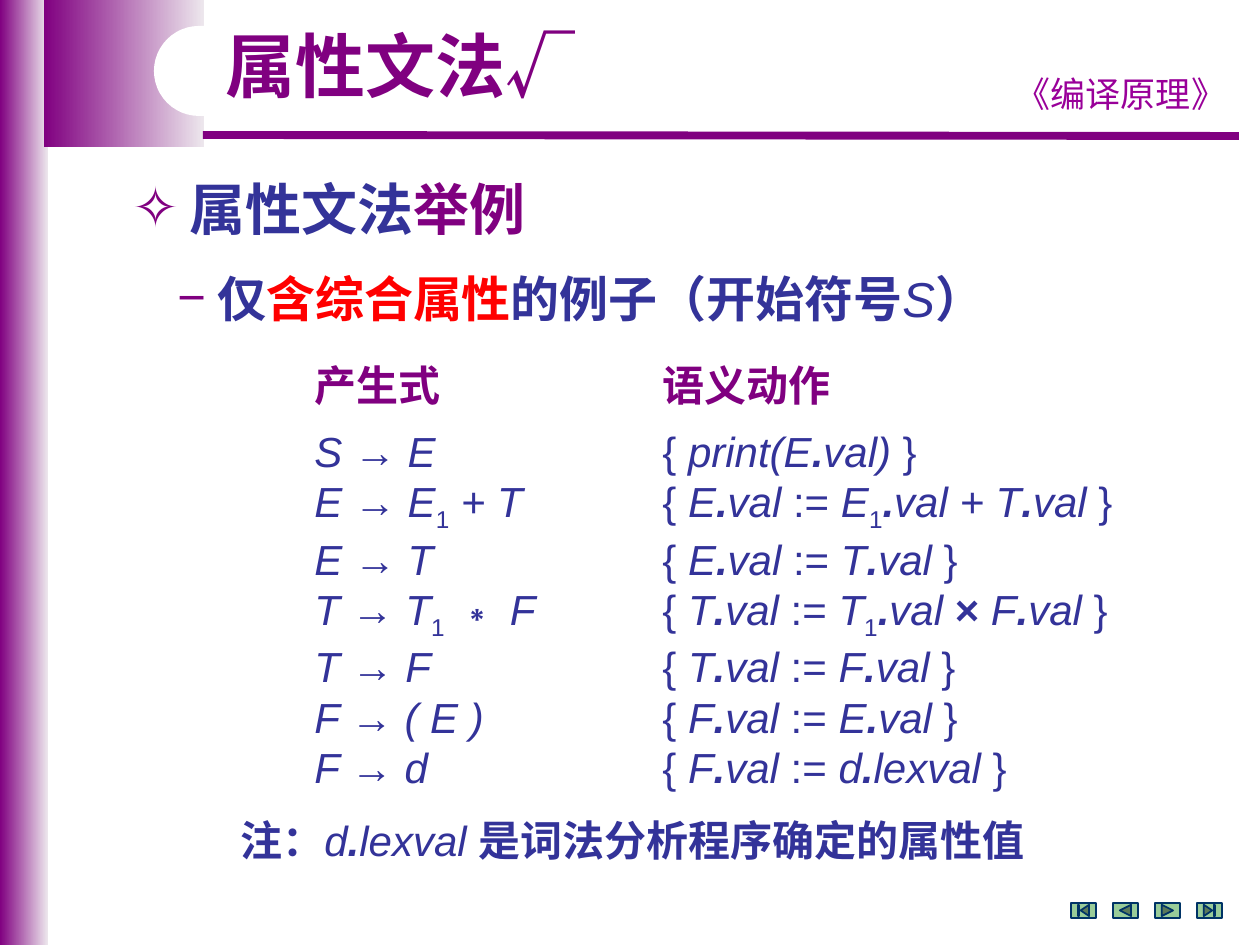
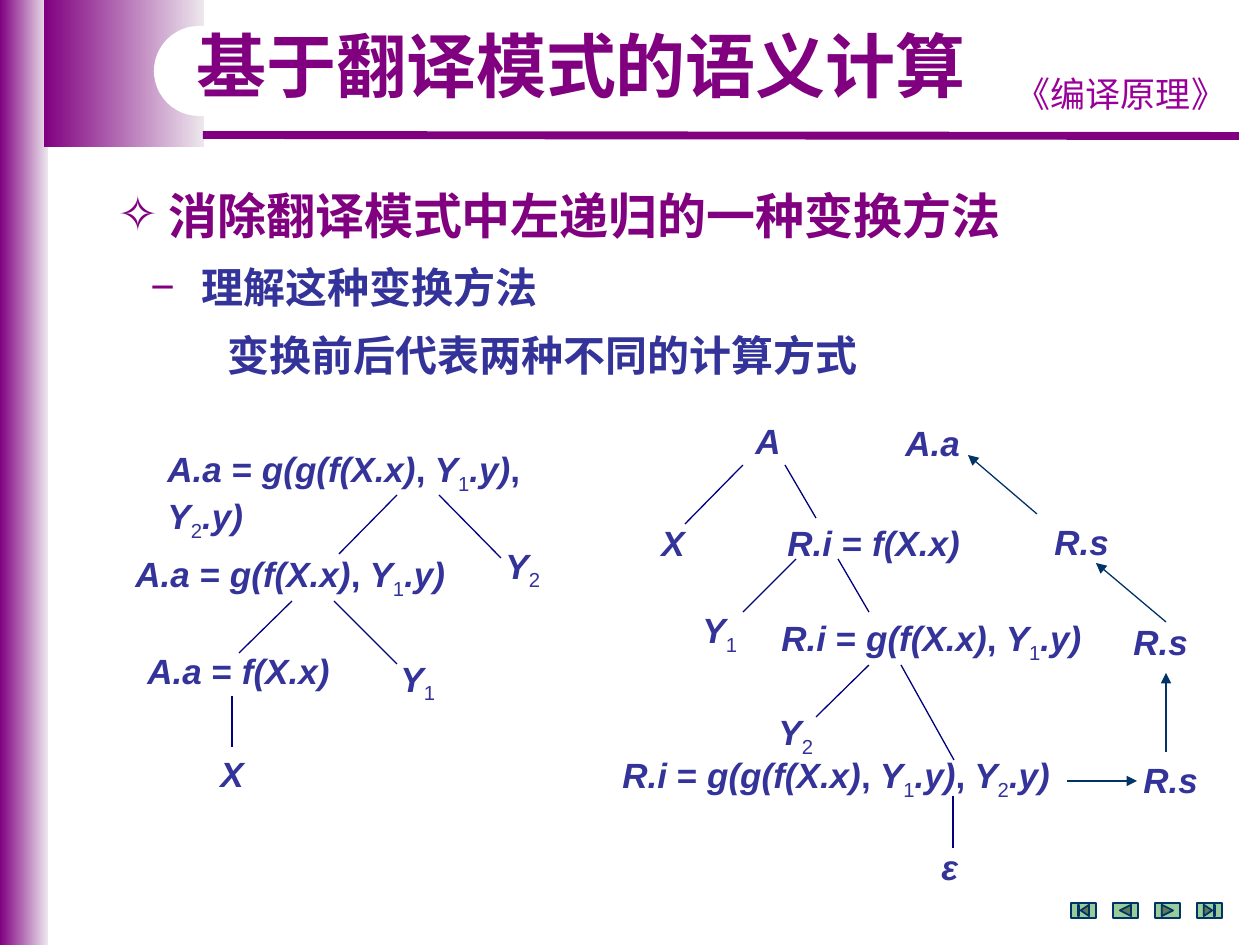
from dataclasses import dataclass
from itertools import groupby

from lxml.etree import SubElement
from pptx import Presentation
from pptx.dml.color import RGBColor
from pptx.enum.shapes import MSO_CONNECTOR, MSO_SHAPE as SHAPE
from pptx.enum.text import PP_ALIGN as ALIGN
from pptx.oxml.ns import qn
from pptx.util import Emu, Pt


@dataclass(frozen=True)
class Theme:
    """Colours, fonts and type sizes that the slides share."""
    purple: str = "800080"
    pale: str = "EDE7ED"
    magenta: str = "990099"
    blue: str = "333399"
    navy: str = "000080"
    teal: str = "003366"
    green: str = "99CC99"
    red: str = "FF0000"
    white: str = "FFFFFF"
    latin: str = "Arial"
    hanzi: str = "Noto Sans CJK SC"
    course: str = "Comic Neue"
    title: int = 40
    heading: int = 32
    subheading: int = 28
    body: int = 24
    label: int = 20


THEME = Theme()
NAV_BUTTONS = (SHAPE.ACTION_BUTTON_BEGINNING, SHAPE.ACTION_BUTTON_BACK_OR_PREVIOUS,
               SHAPE.ACTION_BUTTON_FORWARD_OR_NEXT, SHAPE.ACTION_BUTTON_END)
UPRIGHT = {"italic": False}
PRODUCTIONS = (
    ("S → E", "{ print(E.val) }"),
    ("E → E1 + T", "{ E.val := E1.val + T.val }"),
    ("E → T", "{ E.val := T.val }"),
    ("T → T1 ∗ F", "{ T.val := T1.val × F.val }"),
    ("T → F", "{ T.val := F.val }"),
    ("F → ( E )", "{ F.val := E.val }"),
    ("F → d", "{ F.val := d.lexval }"),
)


def px(length):
    """Turn px into EMU."""
    return Emu(round(length * 914400 / 126))


def rgb(colour):
    """Turn a hex string into a colour."""
    return RGBColor.from_string(colour)


def symbol_style(symbol):
    """Give the font changes that a symbol needs within an italic formula."""
    if symbol.isdigit():
        return {"bold": False, "italic": False, "baseline": -25000}
    if symbol == "×":
        return {"bold": True, "italic": False}
    if symbol == ".":
        return {"bold": True}
    return UPRIGHT if symbol in "→∗:={}," else {}


def formula(text):
    """Split a formula into spans of equal style."""
    return [("".join(symbols), style) for style, symbols in groupby(text, symbol_style)]


def add_text_box(page, left, top, width, height=54):
    """Add a wrapping text box and return its frame."""
    frame = page.shapes.add_textbox(px(left), px(top), px(width), px(height)).text_frame
    frame.word_wrap = True
    return frame


def set_bullet(para, symbol, margin, hang):
    """Indent a paragraph and give it a bullet if there is one."""
    props = para._p.get_or_add_pPr()
    props.set("marL", str(px(margin)))
    props.set("indent", str(-px(hang)))
    if symbol:
        SubElement(SubElement(props, qn("a:buClr")), qn("a:srgbClr"), val=THEME.purple)
        SubElement(props, qn("a:buFont"), typeface=THEME.latin)
        SubElement(props, qn("a:buChar"), char=symbol)


def write(frame, spans, size, colour=THEME.blue, name=THEME.latin, bold=True, italic=False,
          bullet=None, before=0):
    """Write spans as the next paragraph of a frame."""
    first = not frame.paragraphs[0].runs
    para = frame.paragraphs[0] if first else frame.add_paragraph()
    if before:
        para.space_before = Pt(before)
    if bullet:
        set_bullet(para, *bullet)
    font = para.font
    font.size, font.name, font.bold, font.italic = Pt(size), name, bold, italic
    font.color.rgb = rgb(colour)
    SubElement(para._p.pPr.find(qn("a:defRPr")), qn("a:ea"), typeface=THEME.hanzi)
    for text, style in [(spans, {})] if isinstance(spans, str) else spans:
        span = para.add_run()
        span.text = text
        for key, value in style.items():
            if key == "baseline":
                span._r.get_or_add_rPr().set(key, str(value))
            elif key == "colour":
                span.font.color.rgb = rgb(value)
            else:
                setattr(span.font, key, value)
    return para


def add_block(page, preset, left, top, width, height, fill, line=None):
    """Add a preset shape with a plain fill, or a gradient for a pair of colours."""
    shape = page.shapes.add_shape(preset, px(left), px(top), px(width), px(height))
    shape.shadow.inherit = False
    if isinstance(fill, tuple):
        shape.fill.gradient()
        shape.fill.gradient_angle = 0
        for stop, colour in zip(shape.fill.gradient_stops, fill):
            stop.color.rgb = rgb(colour)
    else:
        shape.fill.solid()
        shape.fill.fore_color.rgb = rgb(fill)
    if line:
        shape.line.color.rgb = rgb(line)
        shape.line.width = Pt(1)
    else:
        shape.line.fill.background()
    return shape


def add_line(page, start, end, colour, width=0.75, arrow=False):
    """Draw a straight line, with an arrowhead at its end if asked."""
    line = page.shapes.add_connector(MSO_CONNECTOR.STRAIGHT, *map(px, start + end))
    line.line.color.rgb = rgb(colour)
    line.line.width = Pt(width)
    if arrow:
        SubElement(line.line._get_or_add_ln(), qn("a:tailEnd"), type="triangle")
    SubElement(line._element.spPr, qn("a:effectLst"))


def add_frame(deck):
    """Add a page with the bands, rule, course name and navigation buttons."""
    page = deck.slides.add_slide(deck.slide_layouts[6])
    fade = (THEME.purple, THEME.pale)
    add_block(page, SHAPE.RECTANGLE, 0, 0, 48, 945, fade)
    add_block(page, SHAPE.RECTANGLE, 44, 0, 160, 147, fade)
    add_line(page, (203, 135), (1239, 136), THEME.purple, 4.5)
    course = write(add_text_box(page, 997, 66, 248), "《编译原理》", THEME.label,
                   THEME.magenta, THEME.course, bold=False)
    course.alignment = ALIGN.CENTER
    add_block(page, SHAPE.ROUNDED_RECTANGLE, 154, 26, 456, 90, THEME.white).adjustments[0] = 0.5
    for index, preset in enumerate(NAV_BUTTONS):
        add_block(page, preset, 1071 + 42 * index, 903, 25, 15, THEME.green, THEME.teal)
    return page


def add_title(page, spans, left, width):
    """Write the slide title."""
    para = write(add_text_box(page, left, 26, width, 89), spans, THEME.title, THEME.purple)
    para.line_spacing = 0.9


def add_column(page, left, top, width, heading, rows):
    """Write a heading with formulas under it."""
    frame = add_text_box(page, left, top, width, 432)
    write(frame, heading, THEME.body, THEME.purple)
    for index, row in enumerate(rows):
        write(frame, formula(row), THEME.body, bold=False, italic=True,
              before=0 if index else 9)


def add_tree(page, left, top, nodes, branches, arrows=()):
    """Draw a parse tree with its labels, branches and result arrows."""
    for x, y, width, text in nodes:
        write(add_text_box(page, left + x, top + y, width), formula(text), THEME.label,
              italic=True)
    for lines, colour, arrow in ((branches, THEME.navy, False), (arrows, THEME.teal, True)):
        for x1, y1, x2, y2 in lines:
            add_line(page, (left + x1, top + y1), (left + x2, top + y2), colour, arrow=arrow)


def build_grammar_page(deck):
    """Build the slide with the example of an attribute grammar."""
    page = add_frame(deck)
    write(add_text_box(page, 120, 168, 983, 79),
          [("属性文法", {"colour": THEME.blue}), ("举例", {})],
          THEME.heading, THEME.purple, THEME.hanzi, bullet=("✧", 57, 57))
    variable = {"name": THEME.latin, "bold": False, "italic": True}
    write(add_text_box(page, 165, 262, 937, 72),
          [("仅", {}), ("含综合属性", {"colour": THEME.red}), ("的例子（开始符号", {}),
           ("S", variable), ("）", {})],
          THEME.subheading, name=THEME.hanzi, bullet=("−", 40, 40))
    add_title(page, [("属性文法", {}), ("√", {"name": THEME.hanzi})], 213, 387)
    productions, actions = zip(*PRODUCTIONS)
    add_column(page, 302, 353, 297, "产生式", productions)
    add_column(page, 650, 353, 507, "语义动作", actions)
    write(add_text_box(page, 228, 808, 874, 63),
          [("注：", {}), ("d", variable), (".", {**variable, "bold": True}),
           ("lexval ", variable), ("是词法分析程序确定的属性值", {})],
          THEME.body, name=THEME.hanzi)


def build_transform_page(deck):
    """Build the slide that compares the two ways of computing."""
    page = add_frame(deck)
    frame = add_text_box(page, 105, 179, 1113, 223)
    write(frame, "消除翻译模式中左递归的一种变换方法", THEME.subheading, THEME.purple,
          THEME.hanzi, bullet=("✧", 51, 51))
    write(frame, "理解这种变换方法", THEME.body, name=THEME.hanzi, before=10,
          bullet=("−", 84, 51))
    write(frame, "变换前后代表两种不同的计算方式", THEME.body, name=THEME.hanzi, before=10,
          bullet=(None, 110, 0))
    add_title(page, "基于翻译模式的语义计算", 184, 813)
    add_tree(
        page, 123, 441,
        nodes=((32, 0, 462, "A.a = g(g(f(X.x), Y1.y), Y2.y)"),
               (0, 105, 336, "A.a = g(f(X.x), Y1.y)"), (370, 97, 70, "Y2"),
               (12, 202, 210, "A.a = f(X.x)"), (265, 210, 70, "Y1"), (85, 305, 70, "X")),
        branches=((274, 54, 216, 113), (316, 54, 378, 117), (169, 160, 116, 212),
                  (211, 160, 274, 223), (109, 255, 109, 306)))
    add_tree(
        page, 610, 413,
        nodes=((133, 0, 70, "A"), (283, 2, 113, "A.a"),
               (39, 102, 70, "X"), (165, 102, 210, "R.i = f(X.x)"), (432, 101, 113, "R.s"),
               (80, 189, 70, "Y1"), (159, 197, 336, "R.i = g(f(X.x), Y1.y)"),
               (511, 201, 113, "R.s"), (156, 291, 70, "Y2"),
               (0, 334, 462, "R.i = g(g(f(X.x), Y1.y), Y2.y)"), (521, 339, 113, "R.s"),
               (319, 426, 70, "ε")),
        branches=((133, 52, 75, 111), (175, 52, 206, 105), (186, 146, 133, 199),
                  (228, 146, 259, 199), (259, 252, 206, 304), (291, 252, 344, 347),
                  (343, 383, 343, 435)),
        arrows=((457, 368, 527, 368), (556, 339, 556, 260), (556, 209, 486, 150),
                (427, 101, 358, 42)))


def main():
    """Build the deck and save it."""
    deck = Presentation()
    deck.slide_width, deck.slide_height = px(1260), px(945)
    build_grammar_page(deck)
    build_transform_page(deck)
    deck.save("out.pptx")


if __name__ == "__main__":
    main()
